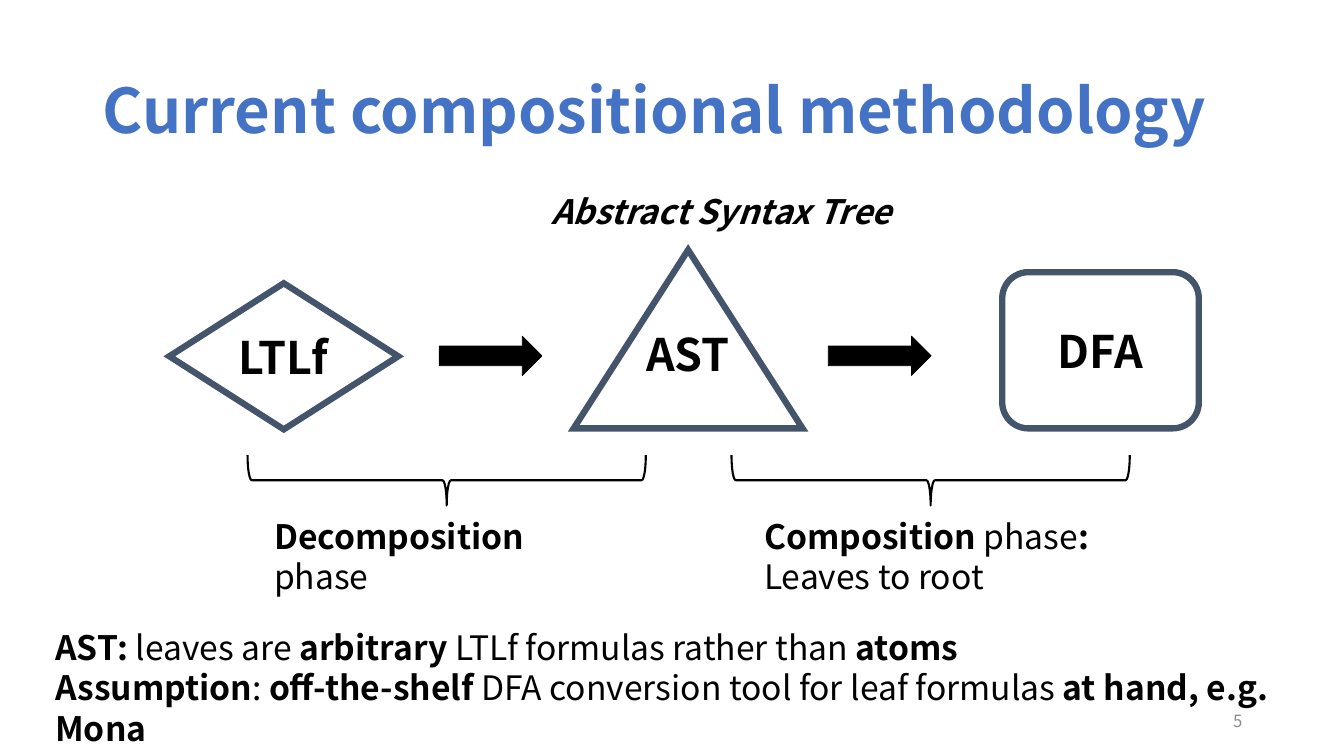
from dataclasses import dataclass

from lxml.etree import SubElement
from pptx import Presentation
from pptx.dml.color import RGBColor
from pptx.enum.shapes import MSO_SHAPE
from pptx.enum.text import MSO_ANCHOR, MSO_AUTO_SIZE, PP_ALIGN
from pptx.oxml.ns import qn
from pptx.util import Emu, Pt

SCALE = 9144  # EMU in one px, 100 px to the inch


@dataclass(frozen=True)
class Theme:
    face: str = "Noto Sans CJK SC"
    ink: str = "000000"
    title: str = "4472C4"
    edge: str = "44546A"
    mute: str = "8C8C8C"
    head: int = 44
    node: int = 32
    body: int = 24
    small: int = 12


def px(*sizes):
    return [Emu(size * SCALE) for size in sizes]


def tint(name):
    return RGBColor.from_string(name)


class Board:
    def __init__(self, slide, theme):
        self.slide = slide
        self.theme = theme

    def label(self, frame, lines, size, color, align=PP_ALIGN.LEFT,
              anchor=MSO_ANCHOR.TOP, bold=True, italic=None):
        """Fill a text frame; parts between bars are set in regular weight."""
        frame.word_wrap = True
        frame.vertical_anchor = anchor
        for i, line in enumerate(lines):
            para = frame.add_paragraph() if i else frame.paragraphs[0]
            para.alignment = align
            font = para.font
            font.name, font.size = self.theme.face, Pt(size)
            font.bold, font.italic = bold, italic
            font.color.rgb = tint(color)
            for j, part in enumerate(line.split("|")):
                if part:
                    run = para.add_run()
                    run.text = part
                    if j % 2:
                        run.font.bold = False

    def title(self, box, text):
        shape = self.slide.shapes.title
        shape.left, shape.top, shape.width, shape.height = px(*box)
        frame = shape.text_frame
        self.label(frame, [text], self.theme.head, self.theme.title,
                   anchor=MSO_ANCHOR.MIDDLE)
        frame.auto_size = MSO_AUTO_SIZE.NONE
        frame.paragraphs[0].line_spacing = 0.9

    def text(self, box, *lines, size=None, color=None, **style):
        frame = self.slide.shapes.add_textbox(*px(*box)).text_frame
        self.label(frame, lines, size or self.theme.body,
                   color or self.theme.ink, **style)

    def shape(self, kind, box, line, width, fill=None, turn=0):
        item = self.slide.shapes.add_shape(kind, *px(*box))
        item.shadow.inherit = False
        item.rotation = turn
        if fill:
            item.fill.solid()
            item.fill.fore_color.rgb = tint(fill)
        else:
            item.fill.background()
        item.line.color.rgb = tint(line)
        item.line.width = Pt(width)
        return item

    def node(self, kind, box, name=None):
        item = self.shape(kind, box, self.theme.edge, 4.5)
        edge = item.element.spPr.find(qn("a:ln"))
        SubElement(edge, qn("a:miter"), lim="800000")
        if name:
            self.label(item.text_frame, [name], self.theme.node,
                       self.theme.ink, PP_ALIGN.CENTER, MSO_ANCHOR.MIDDLE)

    def arrow(self, left):
        ink = self.theme.ink
        self.shape(MSO_SHAPE.DOWN_ARROW, (left, 302, 39, 102), ink, 0.5,
                   fill=ink, turn=270)

    def brace(self, left):
        self.shape(MSO_SHAPE.RIGHT_BRACE, (left, 279, 50, 395),
                   self.theme.ink, 1.5, turn=90)


def main():
    deck = Presentation()
    deck.slide_width, deck.slide_height = px(1333, 750)
    theme = Theme()
    board = Board(deck.slides.add_slide(deck.slide_layouts[5]), theme)

    board.title((92, 40, 1150, 145), "Current compositional methodology")
    board.text((942, 695, 300, 40), "5", size=theme.small, color=theme.mute,
               align=PP_ALIGN.RIGHT, anchor=MSO_ANCHOR.MIDDLE, bold=False)
    board.text((537, 184, 478, 50), "Abstract Syntax Tree", italic=True)

    board.node(MSO_SHAPE.FLOWCHART_DECISION, (168, 281, 227, 145), "LTLf")
    board.node(MSO_SHAPE.ISOSCELES_TRIANGLE, (569, 248, 227, 177))
    board.node(MSO_SHAPE.ROUNDED_RECTANGLE, (994, 270, 195, 155), "DFA")
    board.text((349, 319, 667, 64), "AST", size=theme.node,
               align=PP_ALIGN.CENTER)
    for left in (467, 853):
        board.arrow(left)
    for left in (418, 898):
        board.brace(left)

    board.text((262, 507, 362, 50), "Decomposition |phase|")
    board.text((748, 507, 342, 91), "Composition |phase|:", "|Leaves to root|")
    board.text((45, 617, 1262, 91),
               "AST: |leaves are |arbitrary |LTLf formulas rather than |atoms",
               "Assumption|: |off-the-shelf| DFA conversion tool for leaf "
               "formulas |at hand, e.g. Mona")
    deck.save("out.pptx")


if __name__ == "__main__":
    main()
